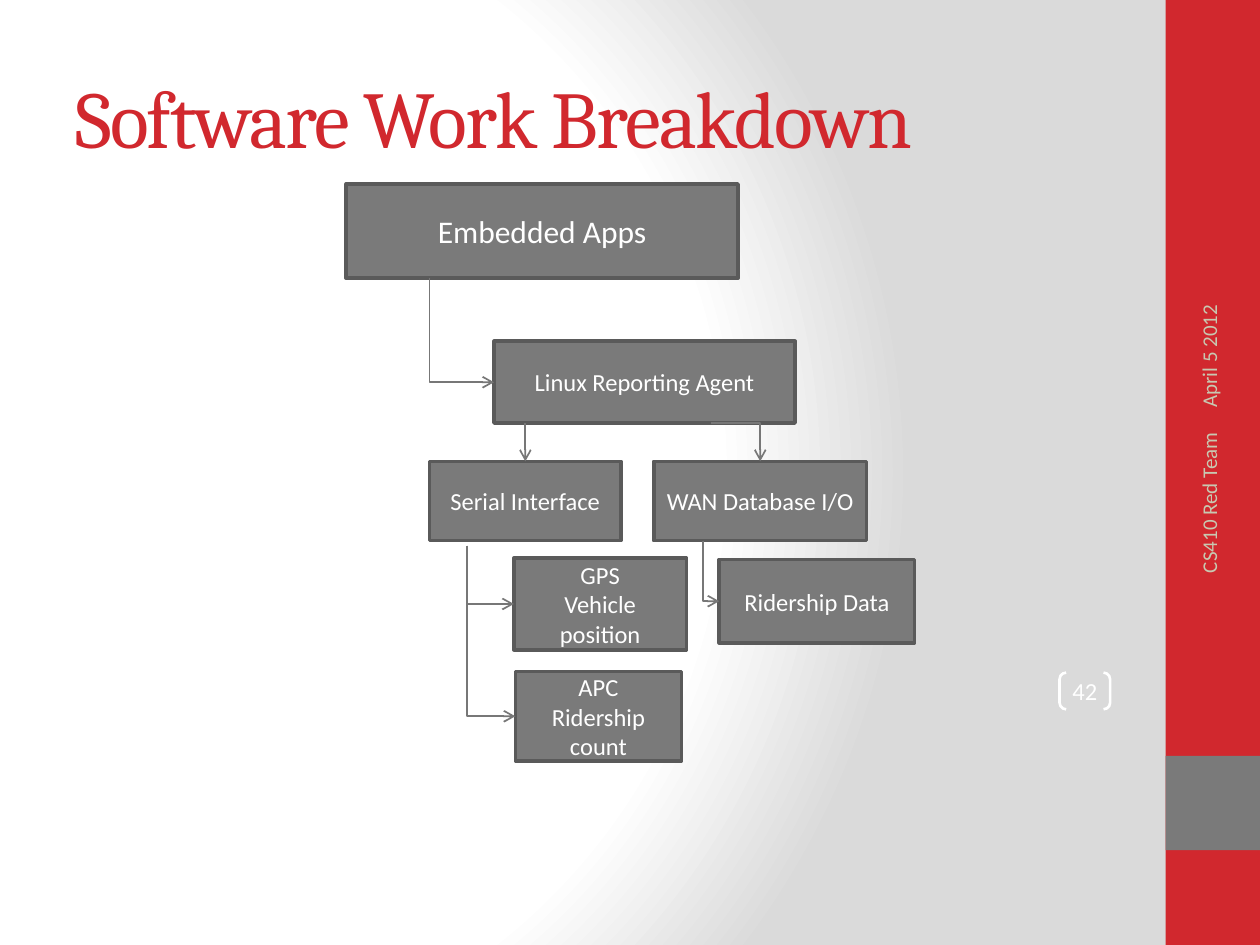
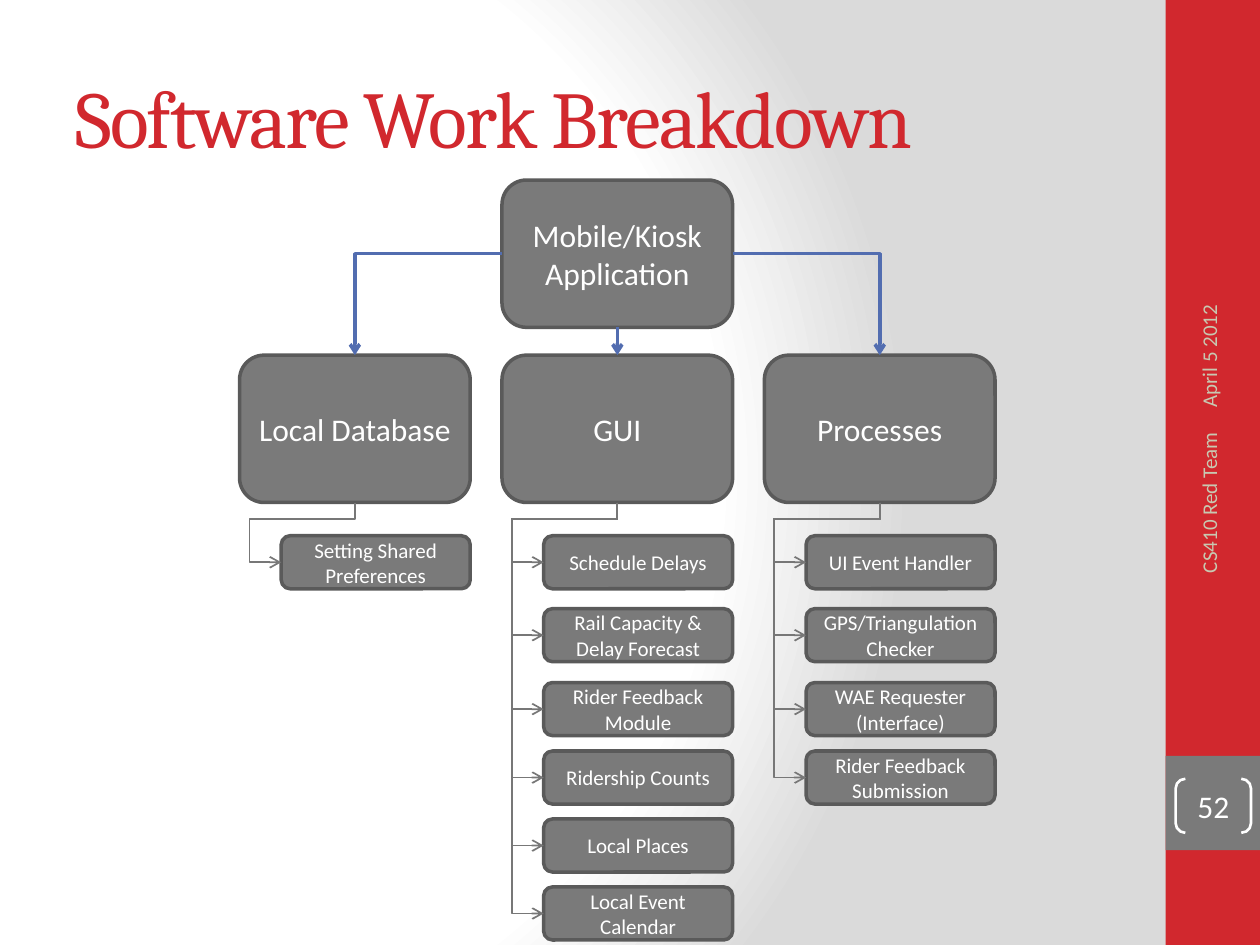
import pptx
import pptx.dml.color
import pptx.enum.shapes
import pptx.enum.text
import pptx.oxml
import pptx.oxml.ns
import pptx.util

Cm = pptx.util.Cm
Pt = pptx.util.Pt
RGBColor = pptx.dml.color.RGBColor
SHAPE = pptx.enum.shapes.MSO_SHAPE
LINK = pptx.enum.shapes.MSO_CONNECTOR
ALIGN = pptx.enum.text.PP_ALIGN
MIDDLE = pptx.enum.text.MSO_ANCHOR.MIDDLE

RED = RGBColor(0xD1, 0x28, 0x2E)
GRAY = RGBColor(0x7A, 0x7A, 0x7A)
EDGE = RGBColor(0x5A, 0x5A, 0x5A)
WIRE = RGBColor(0x77, 0x77, 0x77)
BLUE = RGBColor(0x52, 0x6D, 0xB0)
SAND = RGBColor(0xC8, 0xC8, 0xB1)
WHITE = RGBColor(0xFF, 0xFF, 0xFF)

BACKDROP = """<p:bg %s><p:bgPr><a:gradFill rotWithShape="1"><a:gsLst>
<a:gs pos="0"><a:srgbClr val="FFFFFF"/></a:gs>
<a:gs pos="75000"><a:srgbClr val="FFFFFF"/></a:gs>
<a:gs pos="100000"><a:srgbClr val="DADADA"/></a:gs></a:gsLst>
<a:path path="circle"><a:fillToRect l="20000" t="50000" r="100000" b="50000"/></a:path>
</a:gradFill><a:effectLst/></p:bgPr></p:bg>""" % pptx.oxml.ns.nsdecls("p", "a")


def make(tag):
    return pptx.oxml.parse_xml("<a:%s %s/>" % (tag, pptx.oxml.ns.nsdecls("a")))


def write(shape, text, size, color=WHITE, align=ALIGN.CENTER, font="Calibri"):
    frame = shape.text_frame
    frame.word_wrap = True
    frame.vertical_anchor = MIDDLE
    for index, words in enumerate(text.split("\n")):
        para = frame.paragraphs[0] if index == 0 else frame.add_paragraph()
        para.alignment = align
        run = para.add_run()
        run.text = words
        run.font.size = Pt(size)
        run.font.name = font
        run.font.color.rgb = color
    return run


def block(slide, kind, box, fill=None, edge=None, width=2):
    shape = slide.shapes.add_shape(kind, *map(Cm, box))
    shape.shadow.inherit = False
    if fill is None:
        shape.fill.background()
    else:
        shape.fill.solid()
        shape.fill.fore_color.rgb = fill
    if edge is None:
        shape.line.fill.background()
    else:
        shape.line.color.rgb = edge
        shape.line.width = Pt(width)
    return shape


def card(slide, text, box, size, kind=SHAPE.RECTANGLE):
    shape = block(slide, kind, box, GRAY, EDGE)
    write(shape, text, size)
    return shape


def label(slide, text, box, size, color, align=ALIGN.LEFT, font="Calibri", turn=0):
    shape = slide.shapes.add_textbox(*map(Cm, box))
    shape.rotation = turn
    return write(shape, text, size, color, align, font)


def arrow(slide, start, end, color=WIRE, width=1, kind=LINK.STRAIGHT):
    link = slide.shapes.add_connector(kind, *start, *end)
    link.line.color.rgb = color
    link.line.width = Pt(width)
    link.line._get_or_add_ln().append(make('tailEnd type="arrow"'))
    link._element.spPr.append(make("effectLst"))
    return link


def elbow(slide, start, end, color=WIRE, width=1, bend="bentConnector2"):
    link = arrow(slide, start, end, color, width, LINK.ELBOW)
    link._element.spPr.prstGeom.set("prst", bend)
    return link


def rotate(link, angle, flip):
    wide, high = link.width, link.height
    link.left += (wide - high) // 2
    link.top += (high - wide) // 2
    link.width, link.height = high, wide
    xfrm = link._element.spPr.xfrm
    xfrm.set("rot", str(angle * 60000))
    xfrm.set("flipH", str(flip))


def side(shape):
    return shape.left, shape.top + shape.height // 2


def top(shape):
    return shape.left + shape.width // 2, shape.top


def base(shape):
    return shape.left + shape.width // 2, shape.top + shape.height


def drop(slide, x, y, shape):
    rotate(elbow(slide, (Cm(x), Cm(y)), side(shape)), 270, 1)


def branch(slide, head, leaf):
    start, end = base(head), side(leaf)
    link = elbow(slide, start, end, bend="bentConnector4")
    wide, high = link.width, link.height
    rotate(link, 90, 0)
    guides = link._element.spPr.prstGeom.get_or_add_avLst()
    ratios = Cm(0.33) / high, 1 + Cm(0.64) / wide
    for index, ratio in enumerate(ratios, 1):
        guides.append(make('gd name="adj%d" fmla="val %d"' % (index, ratio * 100000)))


def begin(deck, number, box, size):
    slide = deck.slides.add_slide(deck.slide_layouts[6])
    slide._element.cSld.insert(0, pptx.oxml.parse_xml(BACKDROP))
    block(slide, SHAPE.RECTANGLE, (23.5, 0, 1.9, 19.05), RED)
    block(slide, SHAPE.RECTANGLE, (23.5, 15.24, 1.9, 1.9), GRAY)
    title = label(slide, "Software Work Breakdown", (1.27, 0.76, 21.16, 3.18),
                  46, RED, font="Cambria")
    title._r.get_or_add_rPr().set("spc", "-100")
    label(slide, "April 5 2012", (20.98, 4.57, 6.78, 1.02), 12, SAND, turn=270)
    label(slide, "CS410 Red Team", (21.08, 11.25, 6.58, 1.02), 12, SAND,
          ALIGN.RIGHT, turn=270)
    page = block(slide, SHAPE.DOUBLE_BRACKET, box, edge=WHITE, width=1.5)
    page.adjustments[0] = 0.18
    frame = page.text_frame
    frame.margin_left = frame.margin_right = frame.margin_top = frame.margin_bottom = 0
    write(page, number, size)
    return slide


def embedded(deck):
    slide = begin(deck, "42", (21.36, 13.56, 1.02, 0.74), 14)
    card(slide, "Embedded Apps", (6.98, 3.71, 7.9, 1.9), 18)
    agent = card(slide, "Linux Reporting Agent", (9.96, 6.88, 6.07, 1.65), 14)
    wan = card(slide, "WAN Database I/O", (13.18, 9.3, 4.29, 1.6), 14)
    serial = card(slide, "Serial Interface", (8.66, 9.3, 3.86, 1.6), 14)
    gps = card(slide, "GPS\nVehicle position", (10.36, 11.25, 3.48, 1.85), 14)
    apc = card(slide, "APC\nRidership count", (10.39, 13.54, 3.35, 1.8), 14)
    data = card(slide, "Ridership Data", (14.5, 11.28, 3.94, 1.68), 14)

    drop(slide, 9.42, 11, apc)
    drop(slide, 9.42, 11, gps)
    drop(slide, 14.17, 10.9, data)
    drop(slide, 8.66, 5.61, agent)
    floor = base(agent)[1]
    link = arrow(slide, (top(serial)[0], floor), top(serial))
    link.end_connect(serial, 0)
    elbow(slide, (Cm(14.33), floor), top(wan))


def mobile(deck):
    slide = begin(deck, "52", (23.7, 15.7, 1.52, 1.09), 18)
    left, pitch, wide, high = 4.83, 5.29, 4.65, 2.97
    rows = (10.8, 12.27, 13.76, 15.14, 16.51, 17.88)
    groups = (
        ("Local Database", ("Setting Shared Preferences",)),
        ("GUI", ("Schedule Delays", "Rail Capacity & Delay Forecast",
                 "Rider Feedback Module", "Ridership Counts",
                 "Local Places", "Local Event Calendar")),
        ("Processes", ("UI Event Handler", "GPS/Triangulation Checker",
                       "WAE Requester (Interface)", "Rider Feedback Submission")),
    )
    root = card(slide, "Mobile/Kiosk Application", (left + pitch, 3.63, wide, high),
                18, SHAPE.ROUNDED_RECTANGLE)
    heads = []
    for column, (name, parts) in enumerate(groups):
        x = left + column * pitch
        head = card(slide, name, (x, 7.16, wide, high), 18, SHAPE.ROUNDED_RECTANGLE)
        heads.append(head)
        for part, y in zip(parts, rows):
            leaf = card(slide, part, (x + 0.84, y, 3.81, 1.07), 12,
                        SHAPE.ROUNDED_RECTANGLE)
            branch(slide, head, leaf)

    store, screen, tasks = heads
    x, y = side(root)
    elbow(slide, (x, y), top(store), BLUE, 2)
    elbow(slide, (x + root.width, y), top(tasks), BLUE, 2)
    link = arrow(slide, base(root), top(screen), BLUE, 2)
    link.begin_connect(root, 2)
    link.end_connect(screen, 0)


def main():
    deck = pptx.Presentation()
    deck.slide_width = Cm(25.4)
    deck.slide_height = Cm(19.05)
    embedded(deck)
    mobile(deck)
    deck.save("out.pptx")


if __name__ == "__main__":
    main()
